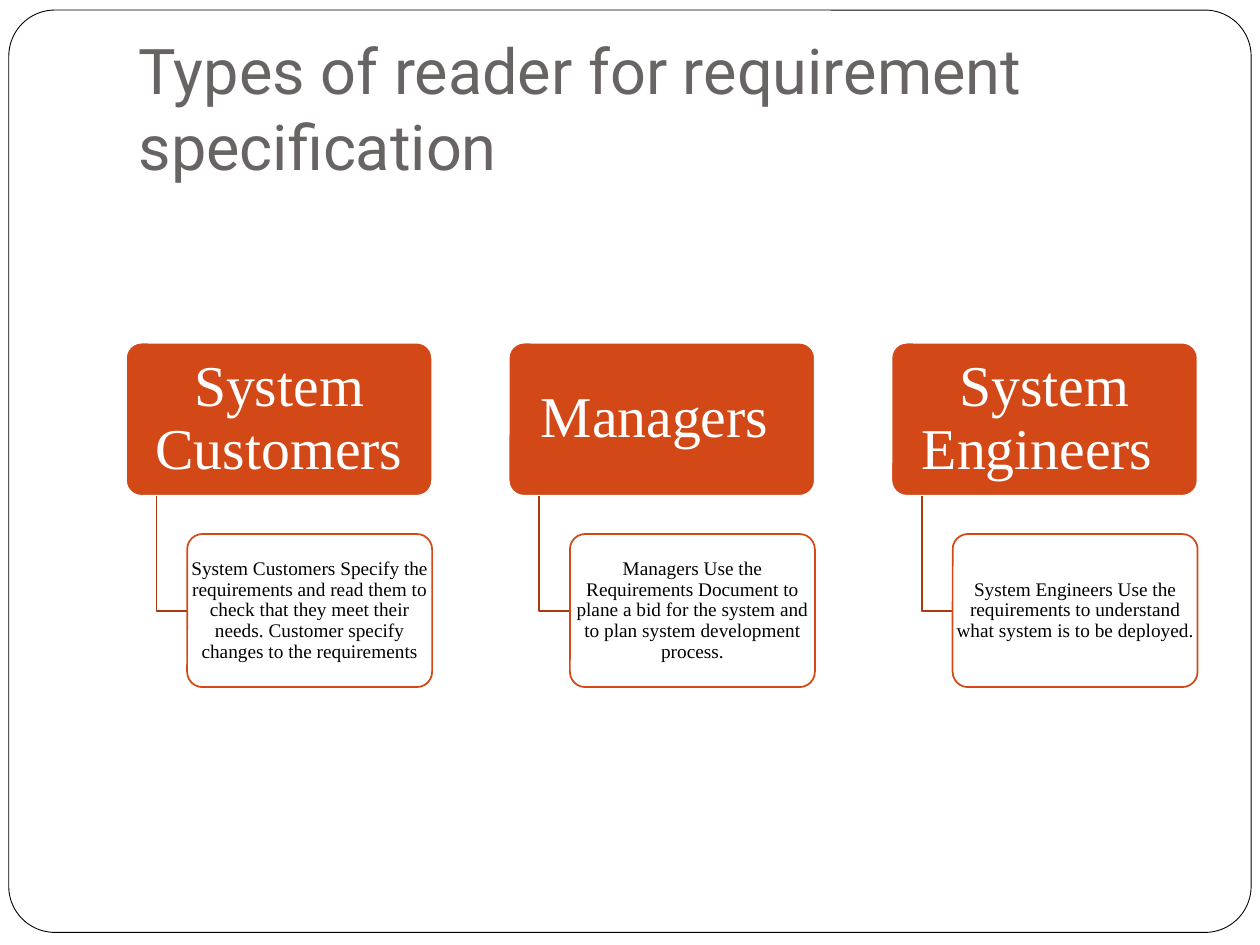
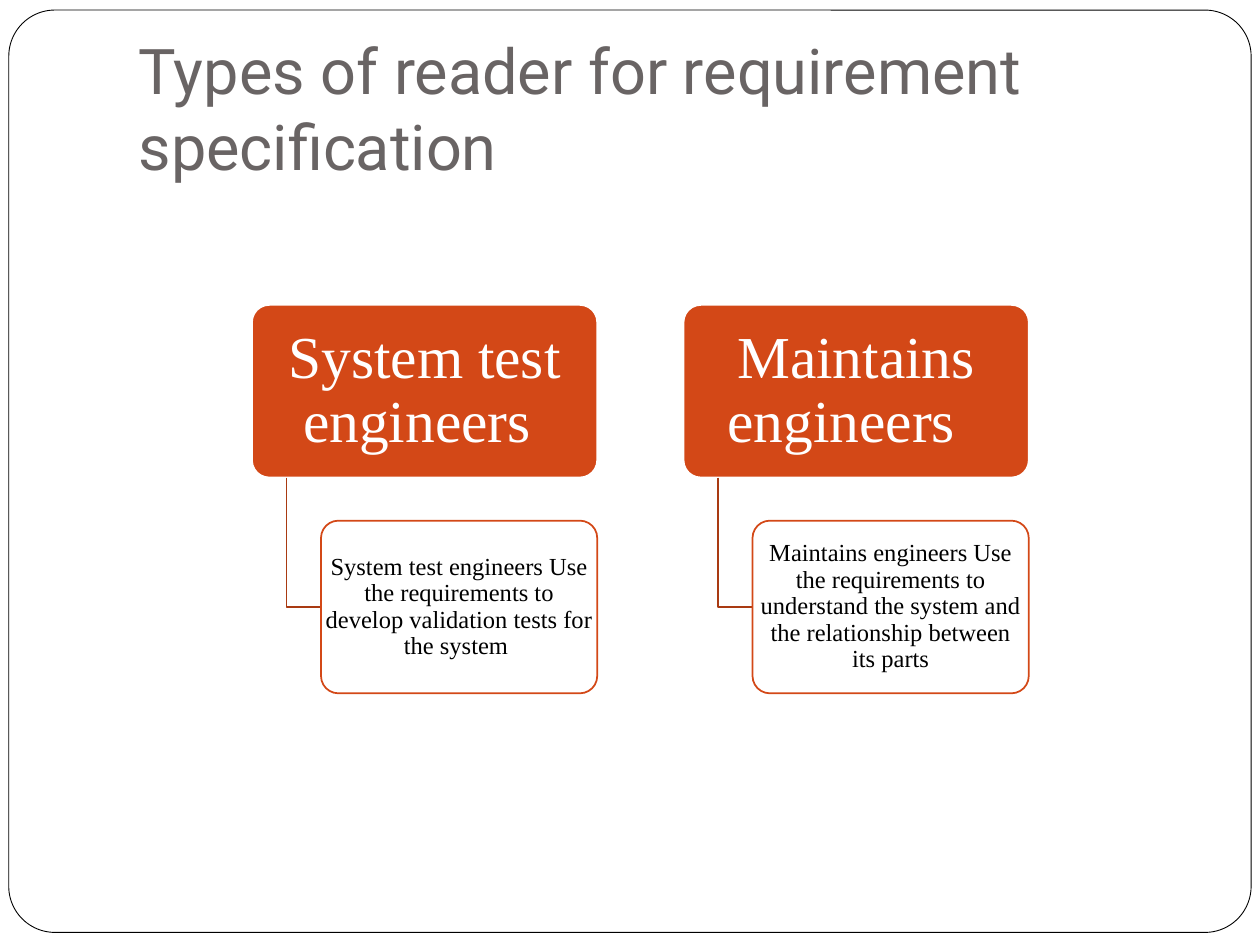
from dataclasses import dataclass

from lxml import etree
from pptx import Presentation
from pptx.dml.color import RGBColor
from pptx.enum.shapes import MSO_SHAPE
from pptx.enum.text import MSO_ANCHOR, MSO_AUTO_SIZE, PP_ALIGN
from pptx.oxml.ns import qn
from pptx.util import Inches, Pt

ROUNDED = MSO_SHAPE.ROUNDED_RECTANGLE
MIDDLE, BOTTOM = MSO_ANCHOR.MIDDLE, MSO_ANCHOR.BOTTOM
LEFT, CENTER = PP_ALIGN.LEFT, PP_ALIGN.CENTER
NO_AUTOFIT = MSO_AUTO_SIZE.NONE

WHITE = RGBColor(0xFF, 0xFF, 0xFF)
BLACK = RGBColor(0x00, 0x00, 0x00)
ORANGE = RGBColor(0xD3, 0x48, 0x17)
RUST = RGBColor(0xA9, 0x3A, 0x12)
GREY = RGBColor(0x69, 0x64, 0x64)

TITLE = "Types of reader for requirement specification"
TITLE_FONT, BODY_FONT = "Roboto", "Times New Roman"
TITLE_ONLY = 5


@dataclass(frozen=True)
class Area:
    left: float
    top: float
    width: float
    height: float

    def lengths(self) -> tuple:
        return tuple(Inches(v) for v in (self.left, self.top, self.width, self.height))


@dataclass(frozen=True)
class Reader:
    role: str
    use: str


@dataclass(frozen=True)
class Hierarchy:
    left: float
    top: float
    width: float  # width of a role box; every other length follows from it
    role_size: int
    use_size: int
    use_inset: float
    readers: tuple


HIERARCHIES = (
    Hierarchy(1, 2.72, 2.43, 33, 11, 0.02, (
        Reader("System Customers",
               "System Customers Specify the requirements and read them to check that "
               "they meet their needs. Customer specify changes to the requirements"),
        Reader("Managers\u00a0",
               "Managers Use the Requirements Document to plane a bid for the system "
               "and to plan system development process."),
        Reader("System Engineers ",
               "System Engineers Use the requirements to understand what system is to "
               "be deployed."),
    )),
    Hierarchy(2, 2.42, 2.74, 34, 14, 0.03, (
        Reader("System test engineers ",
               "System test engineers Use the requirements to develop validation tests "
               "for the system "),
        Reader("Maintains engineers \u00a0",
               "Maintains engineers Use the requirements to understand the system and "
               "the relationship between its parts"),
    )),
)


def apply(target, values: dict) -> None:
    for name, value in values.items():
        setattr(target, name, value)


def write(box, text: str, size: int, font: str, color: RGBColor, insets: tuple,
          anchor=MIDDLE, align=CENTER, spacing: float = 0.9) -> None:
    left, top, right, bottom = (Inches(v) for v in insets)
    frame = box.text_frame
    apply(frame, {"word_wrap": True, "auto_size": NO_AUTOFIT, "vertical_anchor": anchor,
                  "margin_left": left, "margin_top": top,
                  "margin_right": right, "margin_bottom": bottom})
    para = frame.paragraphs[0]
    apply(para, {"alignment": align, "line_spacing": spacing})
    span = para.add_run()
    span.text = text
    apply(span.font, {"size": Pt(size), "name": font})
    span.font.color.rgb = color


def add_rounded(page, area: Area, corner: float, fill: RGBColor, line: RGBColor,
                weight: float = 1):
    shape = page.shapes.add_shape(ROUNDED, *area.lengths())
    shape.adjustments[0] = corner
    shape.shadow.inherit = False
    shape.fill.solid()
    shape.fill.fore_color.rgb = fill
    shape.line.color.rgb = line
    shape.line.width = Pt(weight)
    return shape


def add_label(page, area: Area, text: str, size: int, color: RGBColor, insets: tuple) -> None:
    box = page.shapes.add_textbox(*area.lengths())
    write(box, text, size, BODY_FONT, color, insets)


def add_elbow(page, left: float, top: float, width: float, height: float) -> None:
    builder = page.shapes.build_freeform(Inches(left), Inches(top))
    builder.add_line_segments([(Inches(left), Inches(top + height)),
                               (Inches(left + width), Inches(top + height))], close=False)
    elbow = builder.convert_to_shape()
    elbow.shadow.inherit = False
    elbow.fill.background()
    elbow.line.color.rgb = RUST
    elbow.line.width = Pt(1)


def set_opacity(shape, percent: int) -> None:
    color = shape.fill._xPr.find(qn("a:solidFill"))[0]
    etree.SubElement(color, qn("a:alpha")).set("val", str(percent * 1000))


def add_hierarchy(page, tree: Hierarchy) -> None:
    width, height = tree.width, tree.width / 2
    for index, reader in enumerate(tree.readers):
        left = tree.left + index * width * 1.25
        # Role box
        role_area = Area(left, tree.top, width, height)
        add_rounded(page, role_area, 0.1, ORANGE, WHITE)
        add_label(page, role_area, reader.role, tree.role_size, WHITE,
                  (0.07, 0.05, 0.07, 0.05))
        # Elbow from the role to its use
        add_elbow(page, left + width / 10, tree.top + height, width / 10, height * 0.75)
        # Use box
        use_area = Area(left + width / 5, tree.top + height * 1.25, width * 0.8, height)
        set_opacity(add_rounded(page, use_area, 0.1, WHITE, ORANGE), 90)
        add_label(page, use_area, reader.use, tree.use_size, BLACK,
                  (tree.use_inset, 0.02, tree.use_inset, 0.02))


def add_title(page) -> None:
    title = page.shapes.title
    left, top, width, height = Area(1, 0.3, 8.5, 1.25).lengths()
    apply(title, {"left": left, "top": top, "width": width, "height": height})
    write(title, TITLE, 36, TITLE_FONT, GREY, (0.1, 0.05, 0.1, 0.1), BOTTOM, LEFT, 1.0)


deck = Presentation()
deck.slide_width, deck.slide_height = Inches(10), Inches(7.5)
layout = deck.slide_layouts[TITLE_ONLY]
pages = [deck.slides.add_slide(layout) for _ in HIERARCHIES]

# Page frame, moved to the back of the layout that all slides share
border = add_rounded(pages[0], Area(0.07, 0.08, 9.86, 7.32), 0.05, WHITE, BLACK, 0.5)
layout.shapes._spTree.insert(2, border._element)

for page, tree in zip(pages, HIERARCHIES):
    add_title(page)
    add_hierarchy(page, tree)

deck.save("out.pptx")
